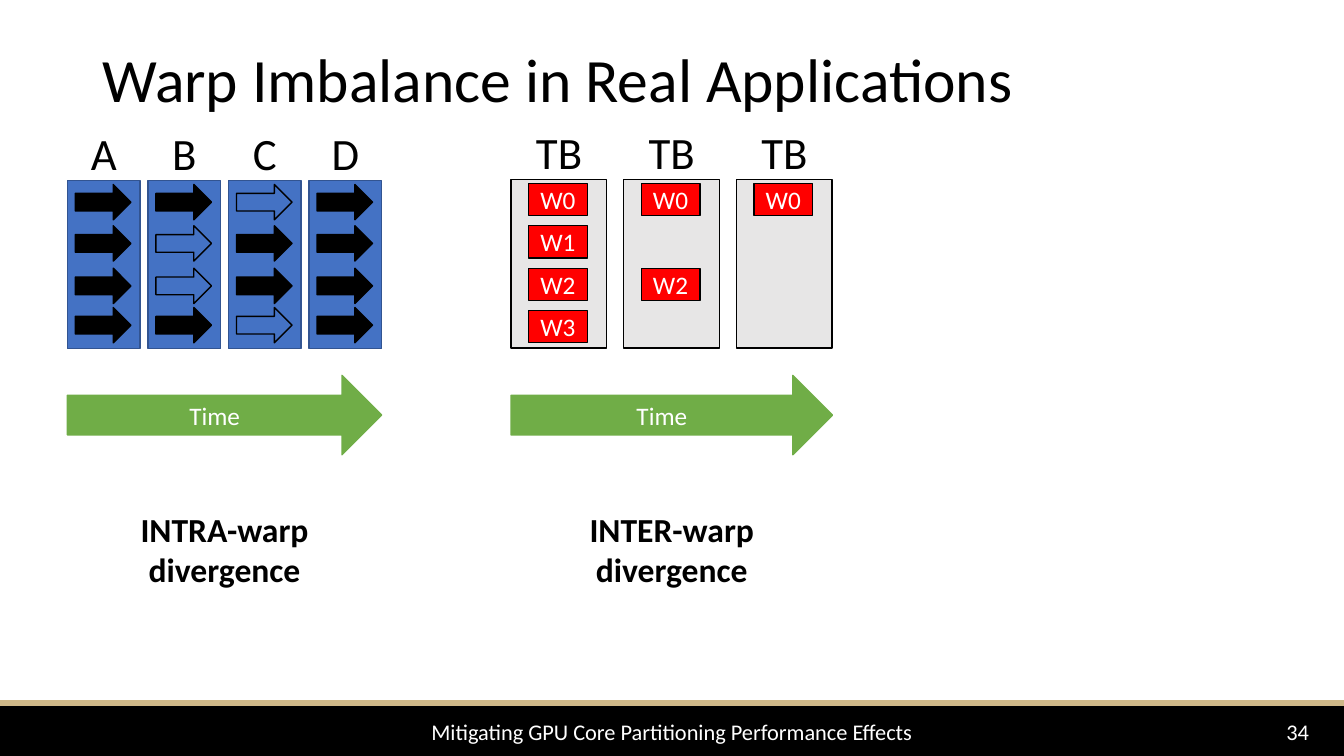
"""Build the slide on warp imbalance in real applications."""
import pptx
import pptx.dml.color
import pptx.enum.shapes
import pptx.enum.text
import pptx.util

Cm = pptx.util.Cm
SHAPE = pptx.enum.shapes.MSO_SHAPE
ANCHOR = pptx.enum.text.MSO_ANCHOR
ALIGN = pptx.enum.text.PP_ALIGN
rgb = pptx.dml.color.RGBColor.from_string


def add_text(sp, text, size, color="000000", align=ALIGN.CENTER,
             anchor=ANCHOR.MIDDLE, spacing=1.0, bold=False, margin=0.25):
    tf = sp.text_frame
    tf.word_wrap = True
    tf.vertical_anchor = anchor
    tf.margin_left = tf.margin_right = Cm(margin)
    p = tf.paragraphs[0]
    p.text = text
    p.alignment = align
    p.line_spacing = spacing
    p.font.name = "Calibri"
    p.font.size = pptx.util.Pt(size)
    p.font.bold = bold
    p.font.color.rgb = rgb(color)


def add_shape(parent, kind, left, top, width, height, fill, line):
    sp = parent.add_shape(kind, Cm(left), Cm(top), Cm(width), Cm(height))
    sp.shadow.inherit = False
    sp.fill.solid()
    sp.fill.fore_color.rgb = rgb(fill)
    sp.line.color.rgb = rgb(line)
    sp.line.width = pptx.util.Pt(1)
    return sp


prs = pptx.Presentation()
prs.slide_width = Cm(33.87)
prs.slide_height = Cm(19.05)
s = prs.slides.add_slide(prs.slide_layouts[6])
shapes = s.shapes

add_shape(shapes, SHAPE.RECTANGLE, 0, 17.65, 33.87, 1.4, "000000", "000000")
add_shape(shapes, SHAPE.RECTANGLE, 0, 17.65, 33.87, 0.13, "CEB888", "CEB888")
footer = shapes.add_textbox(Cm(2.33), Cm(17.81), Cm(29.21), Cm(1.24))
add_text(footer, "Mitigating GPU Core Partitioning Performance Effects", 16, "FFFFFF")
number = shapes.add_textbox(Cm(31.54), Cm(17.81), Cm(2.33), Cm(1.24))
add_text(number, "34", 16, "FFFFFF")
title = shapes.add_textbox(Cm(2.33), Cm(0.64), Cm(29.21), Cm(2.9))
add_text(title, "Warp Imbalance in Real Applications", 44,
         align=ALIGN.LEFT, spacing=0.9)

intra = shapes.add_group_shape().shapes
inter = shapes.add_group_shape().shapes

THREAD_TOPS = [4.65, 5.69, 6.76, 7.75]
LANES = [("A", "1111"), ("B", "1001"), ("C", "0110"), ("D", "1111")]
for i, (lane, active) in enumerate(LANES):
    left = 1.7 + i * 2.03
    add_shape(intra, SHAPE.RECTANGLE, left, 4.55, 1.83, 4.24, "4472C4", "325491")
    for top, flag in zip(THREAD_TOPS, active):
        fill = "000000" if flag == "1" else "4472C4"
        add_shape(intra, SHAPE.RIGHT_ARROW, left + 0.2, top, 1.4, 0.89, fill, "000000")
    label = intra.add_textbox(Cm(left + 0.18), Cm(3.19), Cm(1.47), Cm(1.52))
    add_text(label, lane, 32, anchor=ANCHOR.TOP, spacing=0.9)

for i, warps in enumerate([[0, 1, 2, 3], [0, 2], [0]]):
    left = 12.88 + i * 2.84
    add_shape(inter, SHAPE.RECTANGLE, left, 4.53, 2.41, 4.24, "E7E6E6", "000000")
    for warp in warps:
        sp = add_shape(inter, SHAPE.RECTANGLE, left + 0.44, 4.62 + warp * 1.07,
                       1.48, 0.81, "FF0000", "000000")
        add_text(sp, f"W{warp}", 18, "FFFFFF", margin=0)
    label = inter.add_textbox(Cm(left + 0.23), Cm(3.18), Cm(1.96), Cm(1.52))
    add_text(label, "TB", 32, anchor=ANCHOR.TOP, spacing=0.9)

for group, left, width, caption in [(intra, 1.7, 7.92, "INTRA-warp divergence"),
                                    (inter, 12.88, 8.1, "INTER-warp divergence")]:
    sp = add_shape(group, SHAPE.RIGHT_ARROW, left, 9.46, width, 2, "70AD47", "70AD47")
    add_text(sp, "Time", 18, "FFFFFF")
    sp = shapes.add_textbox(Cm(left), Cm(12.7), Cm(width), Cm(2.31))
    add_text(sp, caption, 24, anchor=ANCHOR.TOP, bold=True)

prs.save("out.pptx")
